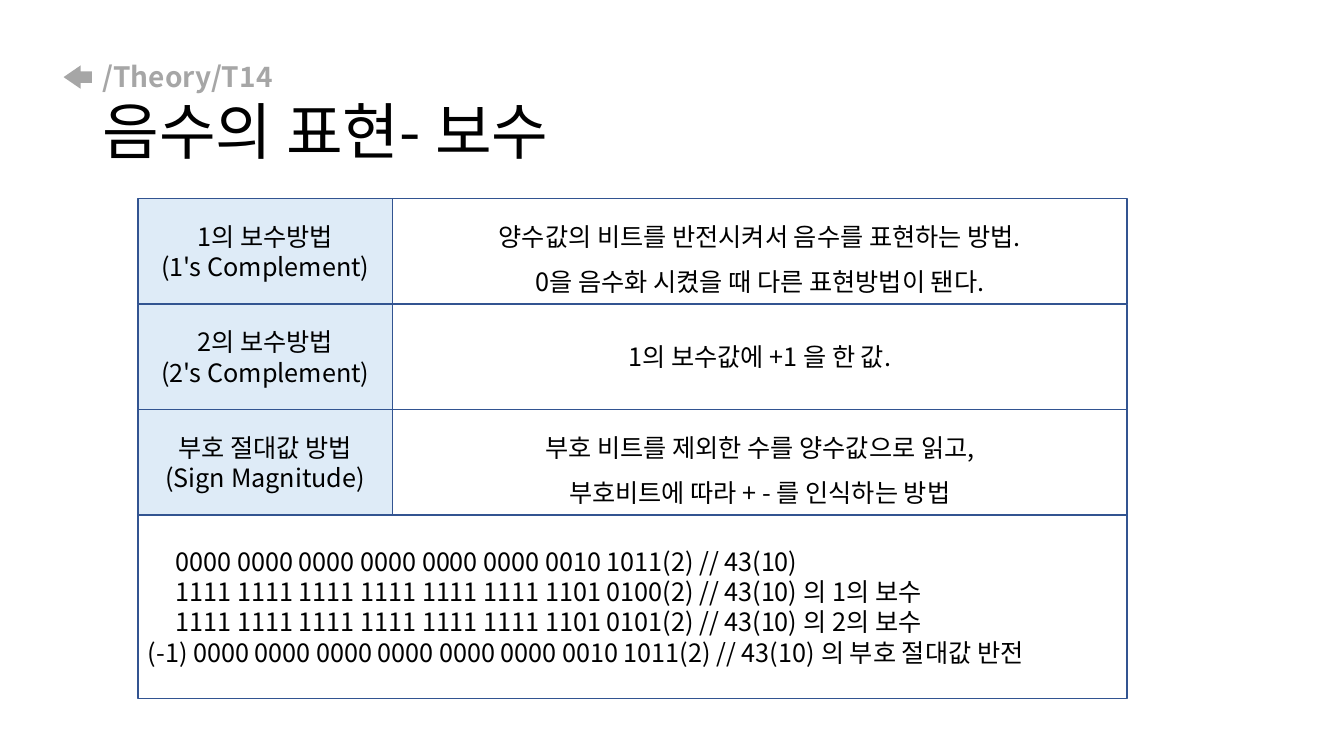
from dataclasses import dataclass

from lxml import etree
from pptx import Presentation
from pptx.dml.color import RGBColor
from pptx.enum.shapes import MSO_SHAPE
from pptx.enum.text import MSO_ANCHOR, MSO_AUTO_SIZE, PP_ALIGN
from pptx.oxml.ns import qn
from pptx.util import Pt

RECT, ARROW = MSO_SHAPE.RECTANGLE, MSO_SHAPE.LEFT_ARROW
LEFT, CENTER = PP_ALIGN.LEFT, PP_ALIGN.CENTER
MIDDLE, NO_FIT = MSO_ANCHOR.MIDDLE, MSO_AUTO_SIZE.NONE
BLACK = RGBColor(0x00, 0x00, 0x00)
GRAY = RGBColor(0xA6, 0xA6, 0xA6)
PALE = RGBColor(0xDE, 0xEB, 0xF7)
NAVY = RGBColor(0x32, 0x54, 0x91)
FONT = "Noto Sans CJK KR"

# Grid, in points
GRID_X, GRID_Y = 98.6, 142
NAME_W, NOTE_W = 181.8, 524.6
STEP, ROW_H, BITS_H = 75.3, 75.2, 131
INDENT = 20


@dataclass
class Method:
    name: list[str]
    note: list[str]
    space: float = 1.5


METHODS = [
    Method(["1의 보수방법", "(1's Complement)"],
           ["양수값의 비트를 반전시켜서 음수를 표현하는 방법.",
            "0을 음수화 시켰을 때 다른 표현방법이 됀다."]),
    Method(["2의 보수방법", "(2's Complement)"],
           ["1의 보수값에 +1 을 한 값."], 1.0),
    Method(["부호 절대값 방법", "(Sign Magnitude)"],
           ["부호 비트를 제외한 수를 양수값으로 읽고,",
            "부호비트에 따라 + - 를 인식하는 방법"]),
]
BITS = [
    "0000 0000 0000 0000 0000 0000 0010 1011(2) // 43(10)",
    "1111 1111 1111 1111 1111 1111 1101 0100(2) // 43(10) 의 1의 보수",
    "1111 1111 1111 1111 1111 1111 1101 0101(2) // 43(10) 의 2의 보수",
    "(-1) 0000 0000 0000 0000 0000 0000 0010 1011(2) // 43(10) 의 부호 절대값 반전",
]


def add_run(para, text: str, *, size: float = 18, color: RGBColor = BLACK,
            bold: bool = False) -> None:
    run = para.add_run()
    run.text = text
    font = run.font
    font.size, font.bold, font.name = Pt(size), bold, FONT
    font.color.rgb = color
    etree.SubElement(run._r.get_or_add_rPr(), qn("a:ea"), typeface=FONT)


def add_box(slide, x: float, y: float, w: float, h: float, lines: list[str], *,
            fill: RGBColor | None = None, align: PP_ALIGN = CENTER,
            space: float = 1.0):
    box = slide.shapes.add_shape(RECT, Pt(x), Pt(y), Pt(w), Pt(h))
    box.shadow.inherit = False
    if fill is None:
        box.fill.background()
    else:
        box.fill.solid()
        box.fill.fore_color.rgb = fill
    box.line.color.rgb, box.line.width = NAVY, Pt(1)
    frame = box.text_frame
    frame.word_wrap, frame.vertical_anchor = True, MIDDLE
    for i, line in enumerate(lines):
        para = frame.add_paragraph() if i else frame.paragraphs[0]
        para.alignment, para.line_spacing = align, space
        add_run(para, line)
    return box


def add_title(slide) -> None:
    title = slide.shapes.title
    title.left, title.top = Pt(66), Pt(28.8)
    title.width, title.height = Pt(828), Pt(104.4)
    frame = title.text_frame
    frame.word_wrap, frame.auto_size = True, NO_FIT
    frame.vertical_anchor = MIDDLE
    para = frame.paragraphs[0]
    para.alignment = LEFT
    add_run(para, "/Theory/T14", size=20, color=GRAY, bold=True)
    para.add_line_break()
    add_run(para, "음수의 표현- 보수", size=44)


def add_arrow(slide) -> None:
    arrow = slide.shapes.add_shape(ARROW, Pt(45.4), Pt(46.8), Pt(20.2), Pt(16.6))
    arrow.adjustments[0], arrow.adjustments[1] = 0.5, 0.73
    arrow.shadow.inherit = False
    arrow.fill.solid()
    arrow.fill.fore_color.rgb = GRAY
    arrow.line.fill.background()


def main() -> None:
    deck = Presentation()
    deck.slide_width, deck.slide_height = Pt(960), Pt(540)
    slide = deck.slides.add_slide(deck.slide_layouts[5])
    add_title(slide)
    add_arrow(slide)

    # Methods and their meaning
    for i, row in enumerate(METHODS):
        y = GRID_Y + i * STEP
        add_box(slide, GRID_X, y, NAME_W, ROW_H, row.name, fill=PALE)
        add_box(slide, GRID_X + NAME_W, y, NOTE_W, ROW_H, row.note,
                space=row.space)

    # Bit patterns, indented to line up after the sign
    bits = add_box(slide, GRID_X, GRID_Y + len(METHODS) * STEP,
                   NAME_W + NOTE_W, BITS_H, BITS, align=LEFT)
    for para in bits.text_frame.paragraphs[:-1]:
        para._p.get_or_add_pPr().set("marL", str(Pt(INDENT)))

    deck.save("out.pptx")


if __name__ == "__main__":
    main()
